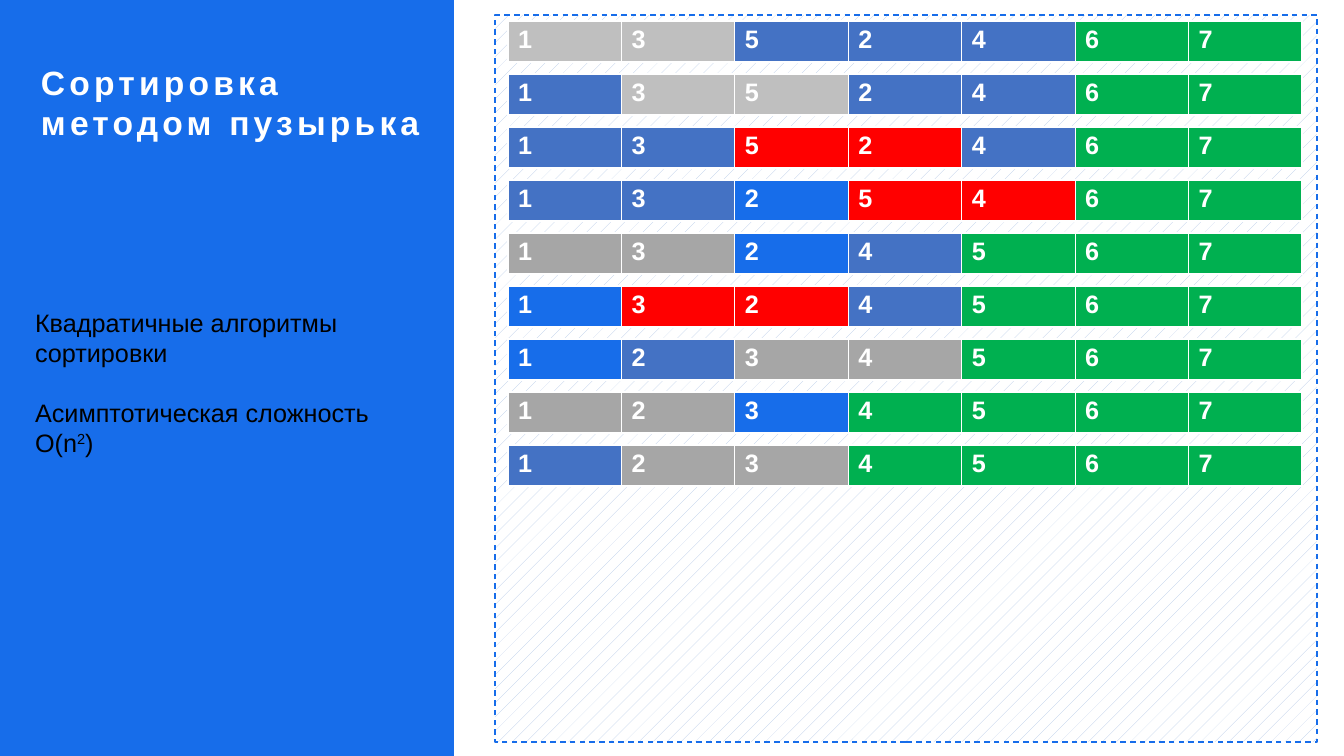
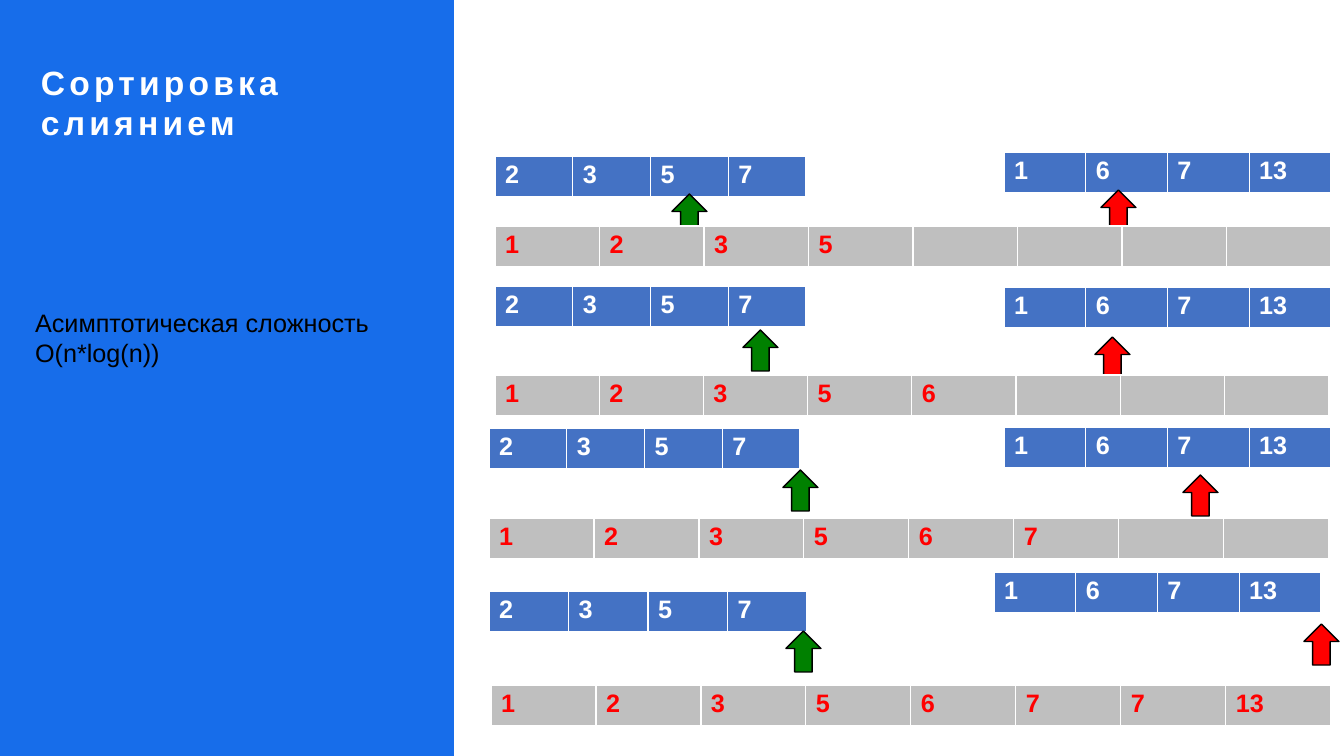
from dataclasses import dataclass

from lxml import etree
from pptx import Presentation
from pptx.dml.color import RGBColor
from pptx.enum.dml import MSO_LINE, MSO_PATTERN
from pptx.enum.shapes import MSO_SHAPE
from pptx.enum.text import MSO_ANCHOR, MSO_AUTO_SIZE, PP_ALIGN
from pptx.oxml.ns import qn
from pptx.util import Emu, Pt

RECT, UP_ARROW = MSO_SHAPE.RECTANGLE, MSO_SHAPE.UP_ARROW
DASH, DOTS = MSO_LINE.DASH, MSO_PATTERN.PERCENT_5
TOP, LEFT, NO_FIT = MSO_ANCHOR.TOP, PP_ALIGN.LEFT, MSO_AUTO_SIZE.NONE
EMU_PER_PX = 914400 / 100.8
SLIDE_W, SLIDE_H = 1344, 756
CELL_H = 41
ARROW_W, ARROW_H = 35, 41


@dataclass(frozen=True)
class Theme:
    """Colours, font and type sizes of the deck."""
    brand: str = "176DEA"
    cell: str = "4472C4"
    compared: str = "BFBFBF"
    checked: str = "A6A6A6"
    swapped: str = "FF0000"
    done: str = "00B050"
    pattern: str = "B4C7E7"
    left_mark: str = "008000"
    right_mark: str = "FF0000"
    white: str = "FFFFFF"
    black: str = "000000"
    font: str = "Arial"
    title_size: int = 24
    text_size: int = 18
    title_spacing: int = 300


@dataclass(frozen=True)
class MergeStep:
    """One merge step: its origin, and its parts as offsets from it."""
    origin: tuple
    left: tuple
    right: tuple
    left_arrow: tuple
    right_arrow: tuple
    result: tuple
    merged: str


THEME = Theme()
STATES = {"b": THEME.cell, "B": THEME.brand, "g": THEME.compared,
          "G": THEME.checked, "r": THEME.swapped, "d": THEME.done}

BUBBLE_ROWS = [
    ("1352467", "ggbbbdd"),
    ("1352467", "bggbbdd"),
    ("1352467", "bbrrbdd"),
    ("1325467", "bbBrrdd"),
    ("1324567", "GGBbddd"),
    ("1324567", "Brrbddd"),
    ("1234567", "BbGGddd"),
    ("1234567", "GGBdddd"),
    ("1234567", "bGGdddd"),
]

MERGE_STEPS = [
    MergeStep((495, 152), (0, 4, 311), (509, 0, 327), (177, 42), (606, 38),
              (0, 74, 836), "1 2 3 5"),
    MergeStep((495, 286), (0, 0, 311), (509, 1, 327), (248, 44), (600, 51),
              (0, 89, 834), "1 2 3 5 6"),
    MergeStep((489, 427), (0, 1, 311), (515, 0, 327), (294, 43), (694, 48),
              (0, 91, 840), "1 2 3 5 6 7"),
    MergeStep((489, 572), (0, 19, 318), (505, 0, 327), (297, 59), (815, 52),
              (2, 113, 840), "1 2 3 5 6 7 7 13"),
]


def px(n):
    """Turn whole pixels into EMU."""
    return Emu(round(n * EMU_PER_PX))


def rgb(value):
    """Make a colour from its hex value."""
    return RGBColor.from_string(value)


def place(sp, box):
    """Move a shape to a pixel box."""
    sp.left, sp.top, sp.width, sp.height = map(px, box)


def style(p, size, color, bold=False):
    """Set the font of a paragraph."""
    p.font.name = THEME.font
    p.font.size = Pt(size)
    p.font.bold = bold
    p.font.color.rgb = rgb(color)


def add_block(s, kind, box, fill=None):
    """Add a preset shape without shadow or outline."""
    sp = s.shapes.add_shape(kind, *map(px, box))
    sp.shadow.inherit = False
    sp.line.fill.background()
    if fill:
        sp.fill.solid()
        sp.fill.fore_color.rgb = rgb(fill)
    return sp


def set_title(title, box, text):
    """Write the spaced bold title into its placeholder."""
    place(title, box)
    tf = title.text_frame
    tf.text = text
    tf.word_wrap, tf.auto_size, tf.vertical_anchor = True, NO_FIT, TOP
    tf.margin_left = tf.margin_top = tf.margin_right = tf.margin_bottom = 0
    p = tf.paragraphs[0]
    p.alignment = LEFT
    style(p, THEME.title_size, THEME.white, True)
    p.font._element.set("spc", str(THEME.title_spacing))


def set_notes(body, box, paragraphs):
    """Write unbulleted paragraphs, each a list of (text, raised) runs."""
    place(body, box)
    tf = body.text_frame
    tf.word_wrap, tf.auto_size, tf.vertical_anchor = True, NO_FIT, TOP
    for i, runs in enumerate(paragraphs):
        p = tf.add_paragraph() if i else tf.paragraphs[0]
        p.alignment = LEFT
        p.space_before = Pt(21 if i else 0)
        style(p, THEME.text_size, THEME.black)
        for text, raised in runs:
            r = p.add_run()
            r.text = text
            if raised:
                r.font._element.set("baseline", "30000")
    for ppr in body.element.iter(qn("a:pPr")):
        ppr.set("marL", "0")
        ppr.set("indent", "0")
        ppr.find(qn("a:defRPr")).addprevious(etree.Element(qn("a:buNone")))


def add_slide(prs, title, paragraphs):
    """Add a slide with the blue side panel, its title and notes."""
    s = prs.slides.add_slide(prs.slide_layouts[1])
    panel = add_block(s, RECT, (0, 0, 454, SLIDE_H), THEME.brand)
    s.shapes.title.element.addprevious(panel.element)
    set_title(s.shapes.title, (41, 62, 412, 82), title)
    set_notes(s.placeholders[1], (25, 302, 412, 163), paragraphs)
    return s


def add_array(s, x, y, w, values, fills, color=THEME.white):
    """Add a one-row table with a fill for each cell."""
    frame = s.shapes.add_table(1, len(fills), px(x), px(y), px(w), px(CELL_H))
    table = frame.table
    table.horz_banding = False
    for i, fill in enumerate(fills):
        cell = table.cell(0, i)
        cell.fill.solid()
        cell.fill.fore_color.rgb = rgb(fill)
        if i < len(values):
            cell.text = values[i]
        style(cell.text_frame.paragraphs[0], THEME.text_size, color, True)


def add_marker(s, x, y, fill):
    """Add an outlined arrow that points up at an element."""
    sp = add_block(s, UP_ARROW, (x, y, ARROW_W, ARROW_H), fill)
    sp.line.color.rgb = rgb(THEME.black)
    sp.line.width = Pt(1)


def add_bubble_board(s, box):
    """Add the dashed board and its evenly spaced array states."""
    x, y, w, _ = box
    board = add_block(s, RECT, box)
    board.fill.patterned()
    board.fill.pattern = DOTS
    board.fill.fore_color.rgb = rgb(THEME.pattern)
    board.fill.back_color.rgb = rgb(THEME.white)
    board.line.color.rgb = rgb(THEME.brand)
    board.line.width = Pt(1)
    board.line.dash_style = DASH
    for i, (values, states) in enumerate(BUBBLE_ROWS):
        fills = [STATES[state] for state in states]
        add_array(s, x + 13, y + 6 + 53 * i, w - 28, values, fills)


def add_merge_step(s, step):
    """Add two sorted halves, their markers and the merged array."""
    x, y = step.origin
    for (dx, dy, w), values in ((step.left, "2 3 5 7"),
                                (step.right, "1 6 7 13")):
        add_array(s, x + dx, y + dy, w, values.split(), [THEME.cell] * 4)
    for (dx, dy), fill in ((step.left_arrow, THEME.left_mark),
                           (step.right_arrow, THEME.right_mark)):
        add_marker(s, x + dx, y + dy, fill)
    dx, dy, w = step.result
    add_array(s, x + dx, y + dy, w, step.merged.split(),
              [THEME.compared] * 8, THEME.swapped)


def build_bubble(prs):
    """Build the bubble sort slide."""
    s = add_slide(prs, "Сортировка методом пузырька", [
        [("Квадратичные алгоритмы сортировки", False)],
        [("Асимптотическая сложность O(n", False), ("2", True), (")", False)],
    ])
    add_bubble_board(s, (495, 15, 822, 727))


def build_merge(prs):
    """Build the merge sort slide."""
    s = add_slide(prs, "Сортировка слиянием", [
        [("Асимптотическая сложность O(n*log(n))", False)],
    ])
    for step in MERGE_STEPS:
        add_merge_step(s, step)


def main():
    """Build and save the deck."""
    prs = Presentation()
    prs.slide_width, prs.slide_height = px(SLIDE_W), px(SLIDE_H)
    build_bubble(prs)
    build_merge(prs)
    prs.save("out.pptx")


main()
